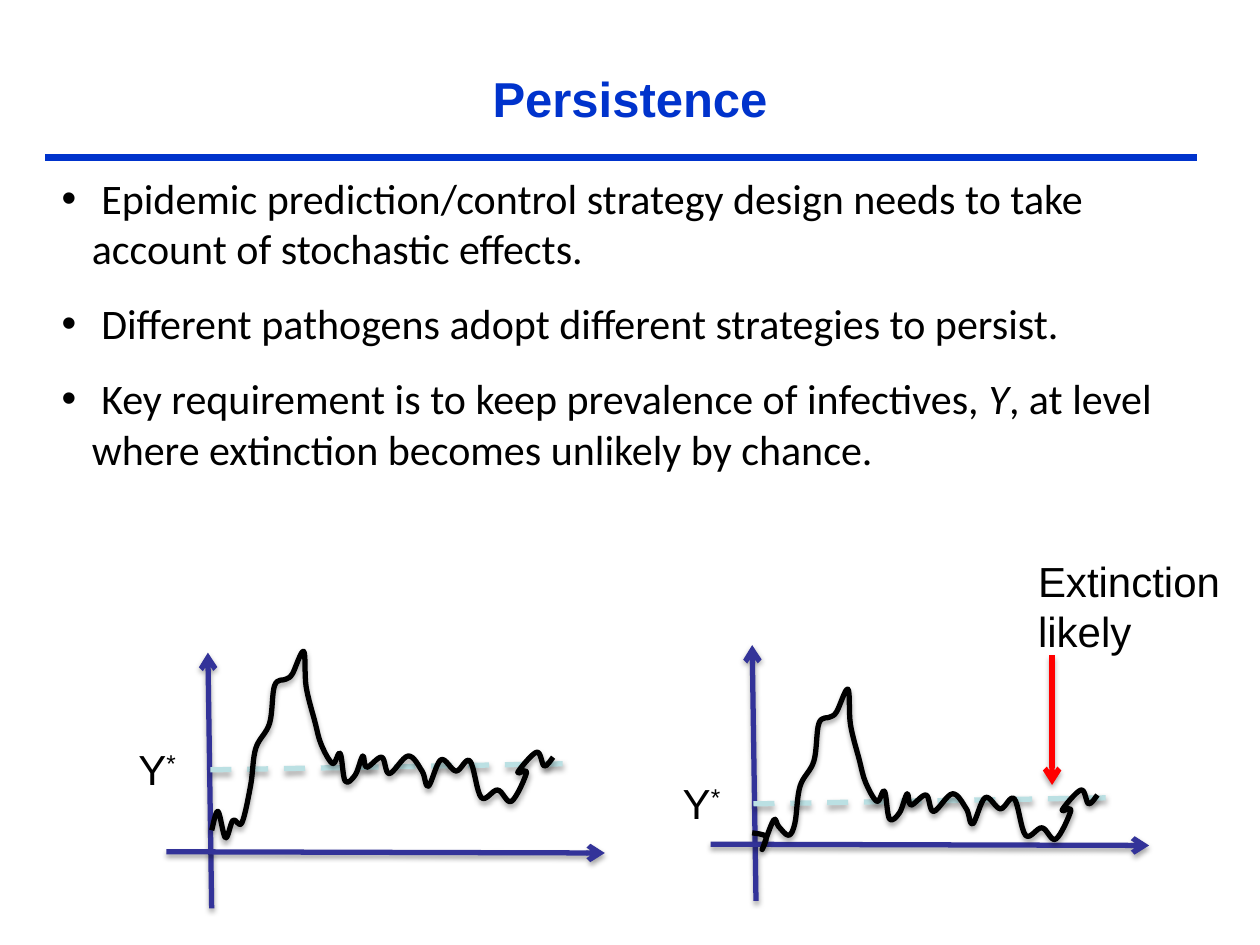
from lxml import etree
from pptx import Presentation
from pptx.dml.color import RGBColor
from pptx.enum.dml import MSO_LINE
from pptx.enum.shapes import MSO_CONNECTOR
from pptx.enum.text import MSO_ANCHOR, PP_ALIGN
from pptx.oxml.ns import qn
from pptx.util import Inches, Pt

STRAIGHT = MSO_CONNECTOR.STRAIGHT
DASH = MSO_LINE.DASH
MIDDLE, TOP = MSO_ANCHOR.MIDDLE, MSO_ANCHOR.TOP
CENTER, LEFT = PP_ALIGN.CENTER, PP_ALIGN.LEFT
BLUE = RGBColor(0x00, 0x33, 0xCC)
INDIGO = RGBColor(0x33, 0x33, 0x99)
PALE = RGBColor(0xBB, 0xE0, 0xE3)
RED = RGBColor(0xFF, 0x00, 0x00)
BLACK = RGBColor(0x00, 0x00, 0x00)

BULLETS = [
    [(" Epidemic prediction/control strategy design needs to take account of stochastic effects.", {})],
    [(" Different pathogens adopt different strategies to persist.", {})],
    [(" Key requirement is to keep prevalence of infectives, ", {}), ("Y", {"italic": True}),
     (", at level where extinction becomes unlikely by chance.", {})],
]

# Points that the curves pass through; both charts share the epidemic part.
HIGH_START = [(1.68, 6.59), (1.73, 6.44), (1.79, 6.65), (1.85, 6.51), (1.92, 6.53)]
LOW_START = [(5.97, 6.61), (6.08, 6.64), (6.05, 6.74), (6.14, 6.51), (6.18, 6.56), (6.26, 6.63)]
EPIDEMIC = [
    (1.99, 6.23), (2.03, 5.94), (2.14, 5.74), (2.18, 5.44), (2.27, 5.39), (2.32, 5.35),
    (2.41, 5.17), (2.43, 5.45), (2.5, 5.73), (2.55, 5.91), (2.64, 6.06), (2.7, 5.98),
    (2.74, 6.2), (2.82, 6.15), (2.88, 6), (2.91, 6.09), (3.03, 6.01), (3.09, 6.14),
    (3.24, 6), (3.35, 6.12), (3.4, 6.24), (3.5, 6.03), (3.62, 6.12), (3.73, 6.04),
    (3.82, 6.33), (3.95, 6.27), (4.06, 6.36), (4.18, 6.13), (4.11, 6.13), (4.26, 5.97),
    (4.32, 6.08), (4.39, 6.01),
]


def add_element(parent, tag, **attributes):
    return etree.SubElement(parent, qn(tag), attributes)


def smooth_controls(points):
    """Return the start, then two Bezier controls and an end for each step."""
    result = [points[0]]
    padded = [points[0], *points, points[-1]]
    for before, start, end, after in zip(padded, padded[1:], padded[2:], padded[3:]):
        result.append(tuple(s + (e - b) / 6 for b, s, e in zip(before, start, end)))
        result.append(tuple(e - (a - s) / 6 for s, e, a in zip(start, end, after)))
        result.append(end)
    return result


class SlideWriter:
    def __init__(self, page):
        self.page = page
        self.font = {"name": "Arial", "size": Pt(24), "bold": False, "italic": False}

    def finish_line(self, shape, color, width, shadow):
        shape.line.color.rgb = color
        shape.line.width = Pt(width)
        effects = add_element(shape._element.spPr, "a:effectLst")
        if shadow:
            outer = add_element(effects, "a:outerShdw", blurRad=str(Pt(3.1)), dist=str(Pt(1.8)),
                                dir="5400000", rotWithShape="0")
            tint = add_element(outer, "a:srgbClr", val="000000")
            add_element(tint, "a:alpha", val="35000")

    def line(self, start, end, color, width=3, dashed=False, arrow=False, shadow=True):
        ends = [Inches(value) for value in (*start, *end)]
        connector = self.page.shapes.add_connector(STRAIGHT, *ends)
        self.finish_line(connector, color, width, shadow)
        if dashed:
            connector.line.dash_style = DASH
        if arrow:
            add_element(connector.line._get_or_add_ln(), "a:tailEnd", type="arrow")

    def curve(self, through):
        """Draw an open smooth curve through the points."""
        points = [(Inches(x), Inches(y)) for x, y in smooth_controls(through)]
        builder = self.page.shapes.build_freeform(*points[0])
        builder.add_line_segments(points[1:], close=False)
        shape = builder.convert_to_shape()
        outline = shape._element.find(".//" + qn("a:path"))
        segments = outline.findall(qn("a:lnTo"))
        for first in range(0, len(segments), 3):
            bezier = add_element(outline, "a:cubicBezTo")
            for segment in segments[first:first + 3]:
                bezier.append(segment[0])
                outline.remove(segment)
        shape.fill.background()
        self.finish_line(shape, BLACK, 3, True)

    def text(self, place, paragraphs, color=BLACK, wrap=True, anchor=TOP, align=LEFT,
             bullets=False, **style):
        """Each paragraph is a list of (text, font values) spans."""
        box = self.page.shapes.add_textbox(*[Inches(value) for value in place])
        frame = box.text_frame
        frame.word_wrap = wrap
        frame.vertical_anchor = anchor
        for index, spans in enumerate(paragraphs):
            para = frame.paragraphs[0] if index == 0 else frame.add_paragraph()
            para.alignment = align
            if bullets:
                para.space_before = Pt(12 if index else 0)
                para.space_after = Pt(2)
                properties = para._p.get_or_add_pPr()
                properties.set("marL", str(Inches(0.24)))
                properties.set("indent", str(-Inches(0.24)))
                add_element(properties, "a:buFont", typeface="Arial")
                add_element(properties, "a:buChar", char="•")
            for words, changes in spans:
                span = para.add_run()
                span.text = words
                values = {**self.font, **style, **changes}
                raised = values.pop("raised", False)
                for name, value in values.items():
                    setattr(span.font, name, value)
                span.font.color.rgb = color
                if raised:
                    span._r.get_or_add_rPr().set("baseline", "30000")

    def epidemic_chart(self, start, axes, level, curve, label):
        """Draw axes, mean level, curve and label, each moved by its own (x, y)."""
        def moved(point, shift):
            return tuple(value + step for value, step in zip(point, shift))

        self.line(moved((1.68, 7.21), axes), moved((1.65, 5.18), axes), INDIGO, arrow=True)
        self.line(moved((1.32, 6.76), axes), moved((4.8, 6.77), axes), INDIGO, arrow=True)
        self.line(moved((1.67, 6.11), level), moved((4.58, 6.06), level), PALE, dashed=True)
        self.curve(start + [moved(point, curve) for point in EPIDEMIC])
        self.text((*moved((1, 5.85), label), 0.51, 0.51),
                  [[("Y", {}), ("*", {"raised": True})]], wrap=False)


def main():
    deck = Presentation()
    deck.slide_width, deck.slide_height = Inches(10), Inches(7.5)
    writer = SlideWriter(deck.slides.add_slide(deck.slide_layouts[6]))
    writer.line((0.36, 1.25), (9.5, 1.25), BLUE, width=4.5, shadow=False)
    writer.text((0.5, 0.3, 9, 0.95), [[("Persistence", {})]], BLUE, anchor=MIDDLE, align=CENTER,
                size=Pt(28), bold=True)
    writer.text((0.39, 1.32, 9.1, 2.58), BULLETS, bullets=True, name="Calibri")
    writer.epidemic_chart(HIGH_START, (0, 0), (0, 0), (0, 0), (0, 0))
    writer.epidemic_chart(LOW_START, (4.32, -0.06), (4.31, 0.27), (4.32, 0.3), (4.32, 0.27))
    writer.line((8.35, 5.2), (8.35, 6.23), RED, arrow=True)
    writer.text((8.14, 4.36, 1.76, 0.91), [[("Extinction", {})], [("likely", {})]], wrap=False)
    deck.save("out.pptx")


if __name__ == "__main__":
    main()
